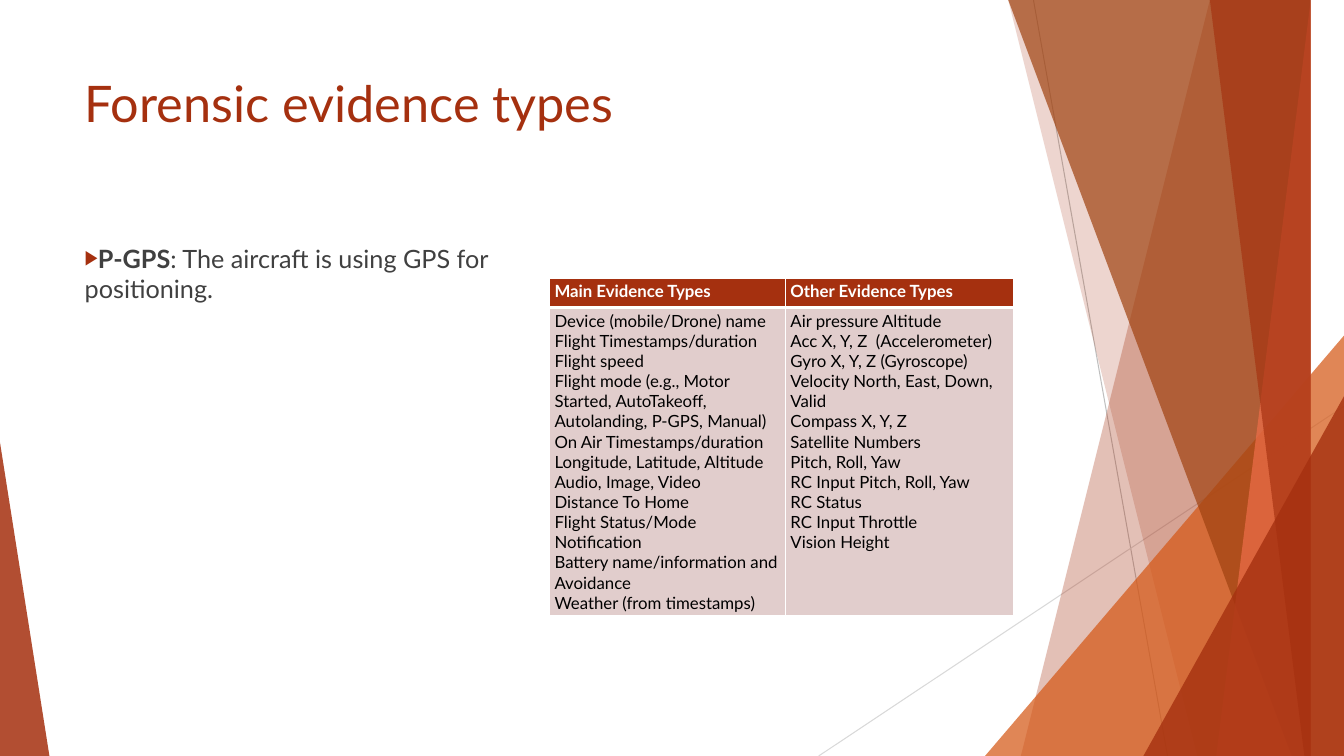
from lxml import etree
from pptx import Presentation
from pptx.dml.color import RGBColor
from pptx.enum.shapes import MSO_CONNECTOR, MSO_SHAPE
from pptx.enum.text import MSO_ANCHOR, MSO_AUTO_SIZE, PP_ALIGN
from pptx.oxml import parse_xml
from pptx.oxml.ns import nsdecls, qn
from pptx.util import Inches, Pt

STRAIGHT = MSO_CONNECTOR.STRAIGHT
TRIANGLE = MSO_SHAPE.ISOSCELES_TRIANGLE
TOP = MSO_ANCHOR.TOP
NO_FIT = MSO_AUTO_SIZE.NONE
LEFT = PP_ALIGN.LEFT

COLORS = {
    "rust": "A5300F", "orange": "D55816", "brown": "A04210",
    "coral": "EE6E4A", "text": "404040", "black": "000000",
    "white": "FFFFFF", "pink": "E1CDCC", "gray": "BFBFBF", "pale": "D9D9D9",
}
FONT = "Lato"
WIDE, HIGH, EDGE = 13.33, 7.5, -0.01

TITLE = "Forensic evidence types"
BODY = [("P-GPS", True), (": The aircraft is using GPS for positioning.", False)]
HEADS = ["Main Evidence Types", "Other Evidence Types"]
LISTS = [
    [
        "Device (mobile/Drone) name",
        "Flight Timestamps/duration",
        "Flight speed",
        "Flight mode (e.g., Motor Started, AutoTakeoff, Autolanding, P-GPS, Manual)",
        "On Air Timestamps/duration",
        "Longitude, Latitude, Altitude",
        "Audio, Image, Video",
        "Distance To Home",
        "Flight Status/Mode",
        "Notification",
        "Battery name/information and Avoidance",
        "Weather (from timestamps)",
    ],
    [
        "Air pressure Altitude",
        "Acc X, Y, Z  (Accelerometer)",
        "Gyro X, Y, Z (Gyroscope)",
        "Velocity North, East, Down, Valid",
        "Compass X, Y, Z",
        "Satellite Numbers",
        "Pitch, Roll, Yaw",
        "RC Input Pitch, Roll, Yaw",
        "RC Status",
        "RC Input Throttle",
        "Vision Height",
    ],
]
COLS = [2.34, 2.26]
ROWS = [0.29, 3.02]

LINES = [
    (10.25, 0, 11.58, HIGH, "gray"),
    (WIDE, 4.03, 8.12, HIGH, "pale"),
]
BANDS = [
    ("band", 12.28, 10.04, "rust", 30),
    ("band", 10.5, 11.83, "rust", 20),
    ("wedge", 9.77, 3.33, 3.56, 1, "orange", 72),
    ("band", 10.21, 12.91, "brown", 70),
    ("band", 13.03, 11.92, "coral", 70),
    ("band", 11.96, 13.18, "rust", 65),
    ("wedge", 11.34, 3.93, 1.99, 1, "rust", 80),
    ("wedge", 0, 4.39, 0.49, 0, "rust", 85),
]


def rgb(name):
    return RGBColor.from_string(COLORS[name])


def put(frame, paras, size=12, color="black", bold=False, bullet=False):
    frame.word_wrap = True
    for i, runs in enumerate(paras):
        para = frame.paragraphs[0] if i == 0 else frame.add_paragraph()
        para.alignment = LEFT
        para.space_before = Pt(0)
        if bullet:
            props = para._p.get_or_add_pPr()
            props.set("marL", "0")
            props.set("indent", "0")
            tint = etree.SubElement(props, qn("a:buClr"))
            etree.SubElement(tint, qn("a:srgbClr"), val=COLORS["rust"])
            etree.SubElement(props, qn("a:buSzPct"), val="80000")
            etree.SubElement(props, qn("a:buChar"), char="▶")
        for text, strong in [(runs, bold)] if isinstance(runs, str) else runs:
            run = para.add_run()
            run.text = text
            font = run.font
            font.name, font.size, font.bold = FONT, Pt(size), strong
            font.color.rgb = rgb(color)


def tint(shape, color, alpha):
    shape.shadow.inherit = False
    shape.line.fill.background()
    shape.fill.solid()
    shape.fill.fore_color.rgb = rgb(color)
    node = shape.element.spPr.find(qn("a:solidFill"))[0]
    etree.SubElement(node, qn("a:alpha"), val=str(alpha * 1000))


def border(cell, widths):
    props = cell._tc.get_or_add_tcPr()
    for i, (side, width) in enumerate(zip("LRTB", widths)):
        props.insert(i, parse_xml(
            f'<a:ln{side} {nsdecls("a")} w="{Pt(width)}"><a:solidFill>'
            f'<a:srgbClr val="{COLORS["white"]}"/></a:solidFill></a:ln{side}>'))


def decor(shapes):
    for x1, y1, x2, y2, color in LINES:
        line = shapes.add_connector(
            STRAIGHT, Inches(x1), Inches(y1), Inches(x2), Inches(y2))
        line.line.color.rgb = rgb(color)
        line.line.width = Pt(0.75)
        etree.SubElement(line.element.spPr, qn("a:effectLst"))
    for kind, *spots, color, alpha in BANDS:
        if kind == "band":
            head, foot = spots
            form = shapes.build_freeform(head, EDGE, scale=Inches(1))
            form.add_line_segments([(WIDE, EDGE), (WIDE, HIGH), (foot, HIGH)])
            shape = form.convert_to_shape()
        else:
            left, top, width, peak = spots
            shape = shapes.add_shape(
                TRIANGLE, Inches(left), Inches(top), Inches(width), Inches(HIGH - top))
            shape.adjustments[0] = peak
        tint(shape, color, alpha)


def hold(shapes, holder, box, paras, **form):
    holder.left, holder.top, holder.width, holder.height = map(Inches, box)
    holder.text_frame.vertical_anchor = TOP
    put(holder.text_frame, paras, **form)
    holder.text_frame.auto_size = NO_FIT
    shapes.element.append(holder.element)


def grid(shapes):
    table = shapes.add_table(
        2, 2, Inches(5.45), Inches(2.76), Inches(sum(COLS)), Inches(sum(ROWS))).table
    for row, high in zip(table.rows, ROWS):
        row.height = Inches(high)
    for c, wide in enumerate(COLS):
        table.columns[c].width = Inches(wide)
        parts = [
            ([HEADS[c]], "rust", "white", True, (1, 1, 1, 3)),
            (LISTS[c], "pink", "black", False, (1, 1, 3, 1)),
        ]
        for r, (paras, back, color, bold, widths) in enumerate(parts):
            cell = table.cell(r, c)
            cell.margin_left = cell.margin_right = Inches(0.05)
            cell.margin_top = cell.margin_bottom = Inches(0.03)
            cell.fill.solid()
            cell.fill.fore_color.rgb = rgb(back)
            border(cell, widths)
            put(cell.text_frame, paras, color=color, bold=bold)


def main():
    deck = Presentation()
    deck.slide_width, deck.slide_height = Inches(WIDE), Inches(HIGH)
    slide = deck.slides.add_slide(deck.slide_layouts[1])
    shapes = slide.shapes
    title, body = slide.placeholders
    decor(shapes)
    hold(shapes, title, (0.74, 0.67, 9.4, 1.44), [TITLE], size=36, color="rust")
    hold(shapes, body, (0.74, 2.36, 4.33, 4.1), [BODY],
         size=18, color="text", bullet=True)
    grid(shapes)
    deck.save("out.pptx")


if __name__ == "__main__":
    main()
